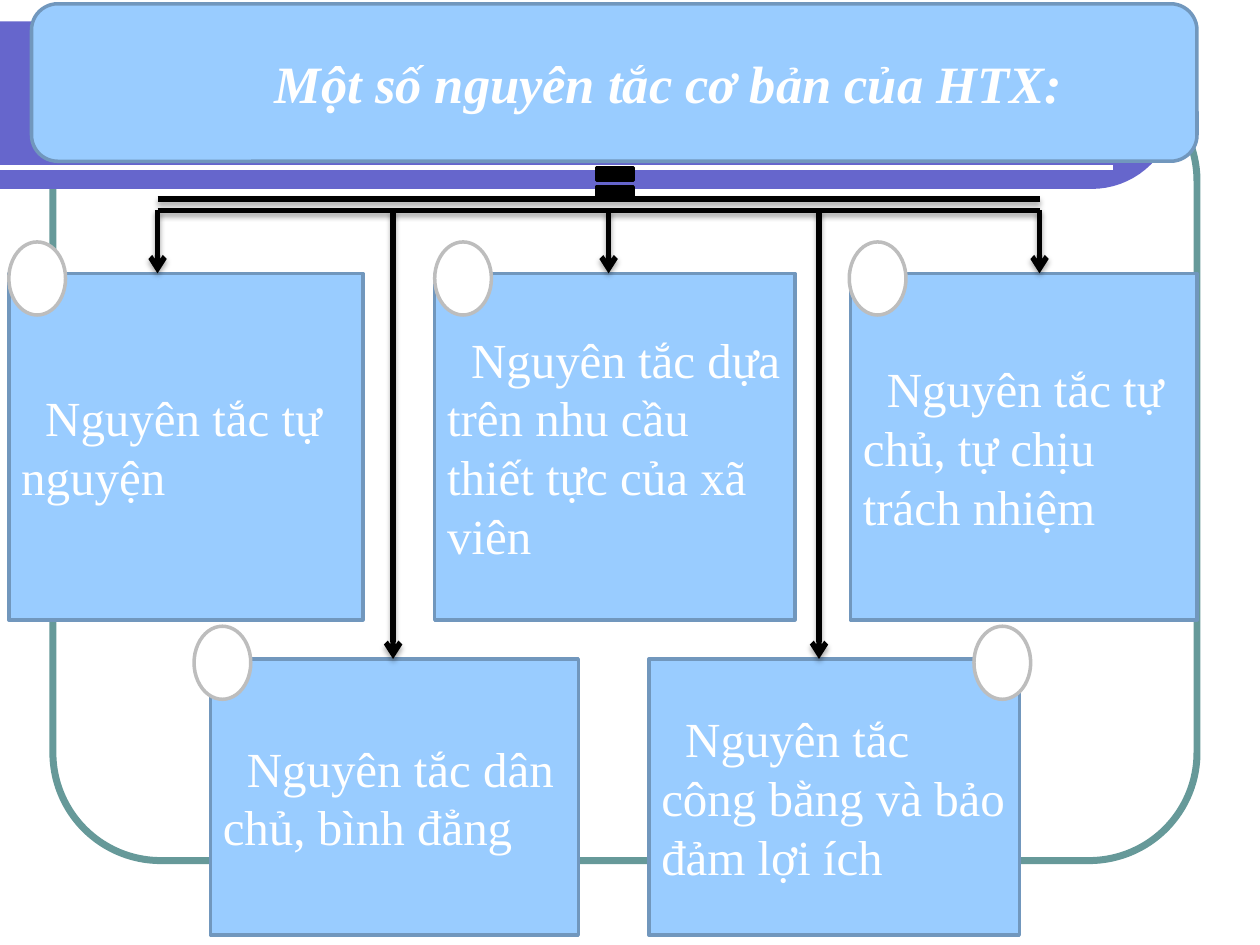
import math

from lxml import etree
from pptx import Presentation
from pptx import util as u
from pptx.dml.color import RGBColor
from pptx.enum import shapes, text
from pptx.oxml import ns

FONT = "Times New Roman"
KIND = shapes.MSO_SHAPE


def color(code):
    return RGBColor.from_string(code)


def write(shape, words, size=28, tint="FFFFFF", bold=False, italic=False,
          indent=0.0):
    frame = shape.text_frame
    frame.word_wrap = True
    frame.vertical_anchor = text.MSO_ANCHOR.MIDDLE
    para = frame.paragraphs[0]
    para.alignment = text.PP_ALIGN.LEFT
    props = para._p.get_or_add_pPr()
    props.set("marL", "0")
    props.set("indent", str(u.Inches(indent)))
    run = para.add_run()
    run.text = words
    font = run.font
    font.name, font.size = FONT, u.Pt(size)
    font.bold, font.italic = bold, italic
    font.color.rgb = color(tint)


class Board:
    blue, edge = "99CCFF", "7197BD"

    def __init__(self, slide):
        self.slide = slide
        self.shapes = slide.shapes

    def paint(self, shape, fill=None, line=None, width=2):
        shape.shadow.inherit = False
        if fill:
            shape.fill.solid()
            shape.fill.fore_color.rgb = color(fill)
        else:
            shape.fill.background()
        if line:
            shape.line.color.rgb = color(line)
            shape.line.width = u.Pt(width)
        else:
            shape.line.fill.background()
        return shape

    def shape(self, kind, box, fill=None, line=None, width=2, round=None):
        item = self.shapes.add_shape(kind, *map(u.Inches, box))
        if round is not None:
            item.adjustments[0] = round
        return self.paint(item, fill, line, width)

    def panel(self, box, words, kind=KIND.RECTANGLE, **style):
        item = self.shape(kind, box, self.blue, self.edge)
        write(item, words, **style)

    def banner(self, right, top, base, fill):
        """Band from the left edge with a half-round right end."""
        rad = (base - top) / 2
        arc = [(right - rad + rad * math.cos(math.radians(deg)),
                top + rad + rad * math.sin(math.radians(deg)))
               for deg in range(-90, 91, 5)]
        pen = self.shapes.build_freeform(0, u.Inches(top))
        pen.add_line_segments([(u.Inches(x), u.Inches(y))
                               for x, y in arc + [(0, base)]])
        self.paint(pen.convert_to_shape(), fill)

    def line(self, start, end, tint="000000", arrow=False, shadow=True):
        item = self.shapes.add_connector(
            shapes.MSO_CONNECTOR.STRAIGHT, *map(u.Inches, start + end))
        item.line.color.rgb = color(tint)
        item.line.width = u.Pt(3)
        if arrow:
            etree.SubElement(item.line._get_or_add_ln(),
                             ns.qn("a:tailEnd"), type="arrow")
        props = item._element.spPr
        effect = etree.SubElement(props, ns.qn("a:effectLst"))
        if shadow:
            cast = etree.SubElement(
                effect, ns.qn("a:outerShdw"), blurRad=str(u.Pt(3.1)),
                dist=str(u.Pt(1.8)), dir="5400000", rotWithShape="0")
            tone = etree.SubElement(cast, ns.qn("a:srgbClr"), val="000000")
            etree.SubElement(tone, ns.qn("a:alpha"), val="35000")


def main():
    deck = Presentation()
    deck.slide_width, deck.slide_height = u.Inches(10), u.Inches(7.5)
    board = Board(deck.slides.add_slide(deck.slide_layouts[6]))

    # Backdrop
    board.shape(KIND.ROUNDED_RECTANGLE, (0.42, 0.58, 9.08, 6.25),
                line="669999", width=4, round=0.137)
    board.banner(9.33, 0.17, 1.5, "6666CC")
    board.line((0, 1.33), (8.83, 1.33), "FFFFFF", shadow=False)

    # Title
    board.panel((0.25, 0.03, 9.25, 1.25), "Một số nguyên tắc cơ bản của HTX:",
                KIND.ROUNDED_RECTANGLE, size=30, bold=True, italic=True,
                indent=1.77)

    # Principles
    top, low = 2.17, 5.23
    rules = [
        ((0.07, top, 2.81, 2.75), "Nguyên tắc tự nguyện"),
        ((3.45, top, 2.86, 2.75),
         "Nguyên tắc dựa trên nhu cầu thiết tực của xã viên"),
        ((6.75, top, 2.75, 2.75), "Nguyên tắc tự chủ, tự chịu trách nhiệm"),
        ((1.67, low, 2.92, 2.19), "Nguyên tắc dân chủ, bình đẳng"),
        ((5.15, low, 2.94, 2.19), "Nguyên tắc công bằng và bảo đảm lợi ích"),
    ]
    for box, words in rules:
        board.panel(box, words, indent=0.19)

    # Double rail and arrows
    left, right, rail = 1.25, 8.25, 1.67
    board.line((left, rail), (right, rail))
    for x, y in [(left, top), (4.83, top), (right, top),
                 (3.12, low), (6.5, low)]:
        board.line((x, rail), (x, y), arrow=True)
    board.line((left, 1.58), (right, 1.58))
    board.shape(KIND.MATH_EQUAL, (4.68, 1.24, 0.4, 0.44), "000000", "000000")

    # Corner circles
    for x, y in [(0.07, 1.92), (7.73, 4.97), (1.54, 4.97),
                 (6.74, 1.92), (3.45, 1.92)]:
        board.shape(KIND.OVAL, (x, y, 0.45, 0.58), "FFFFFF", "BDBDBD")

    deck.save("out.pptx")


if __name__ == "__main__":
    main()
